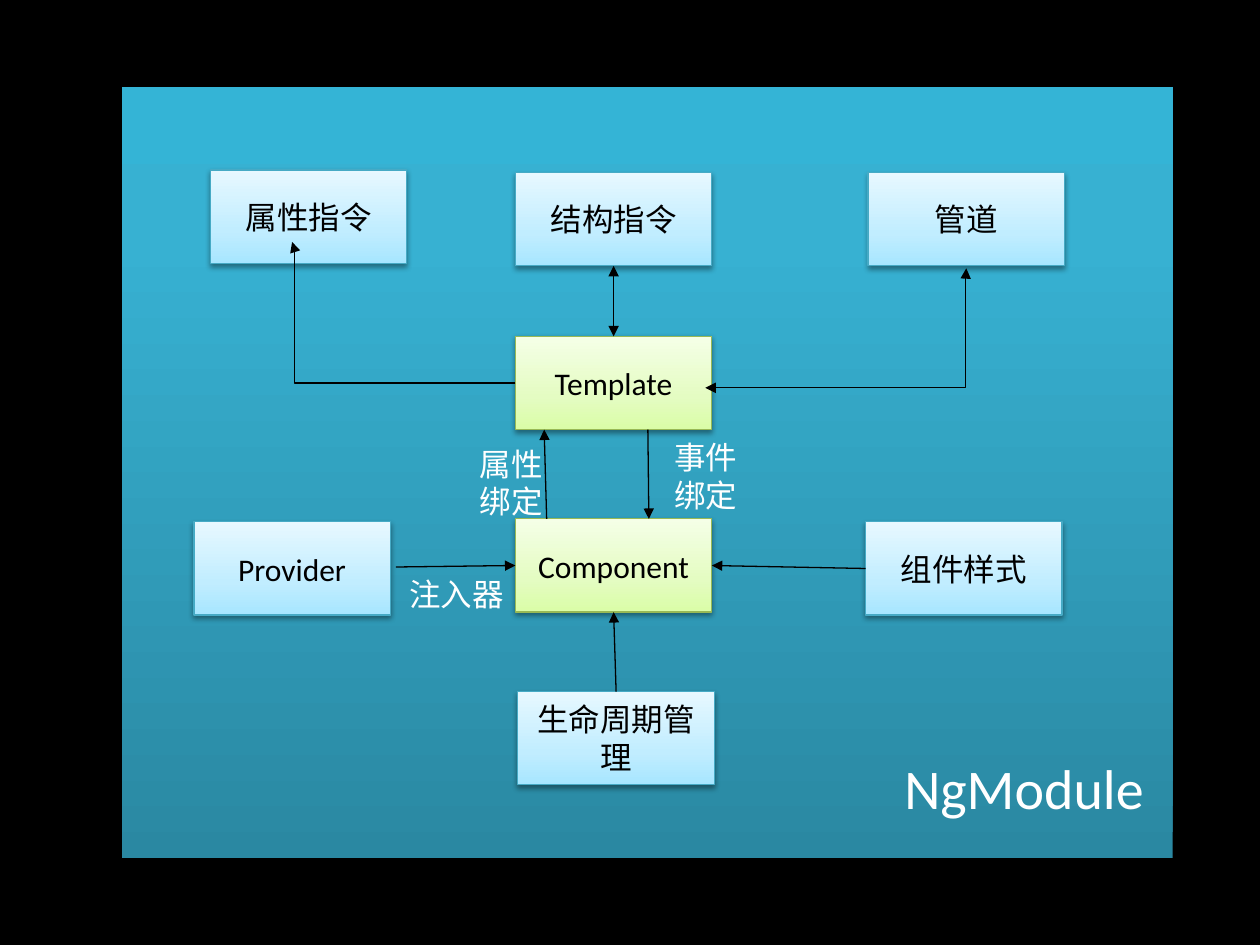
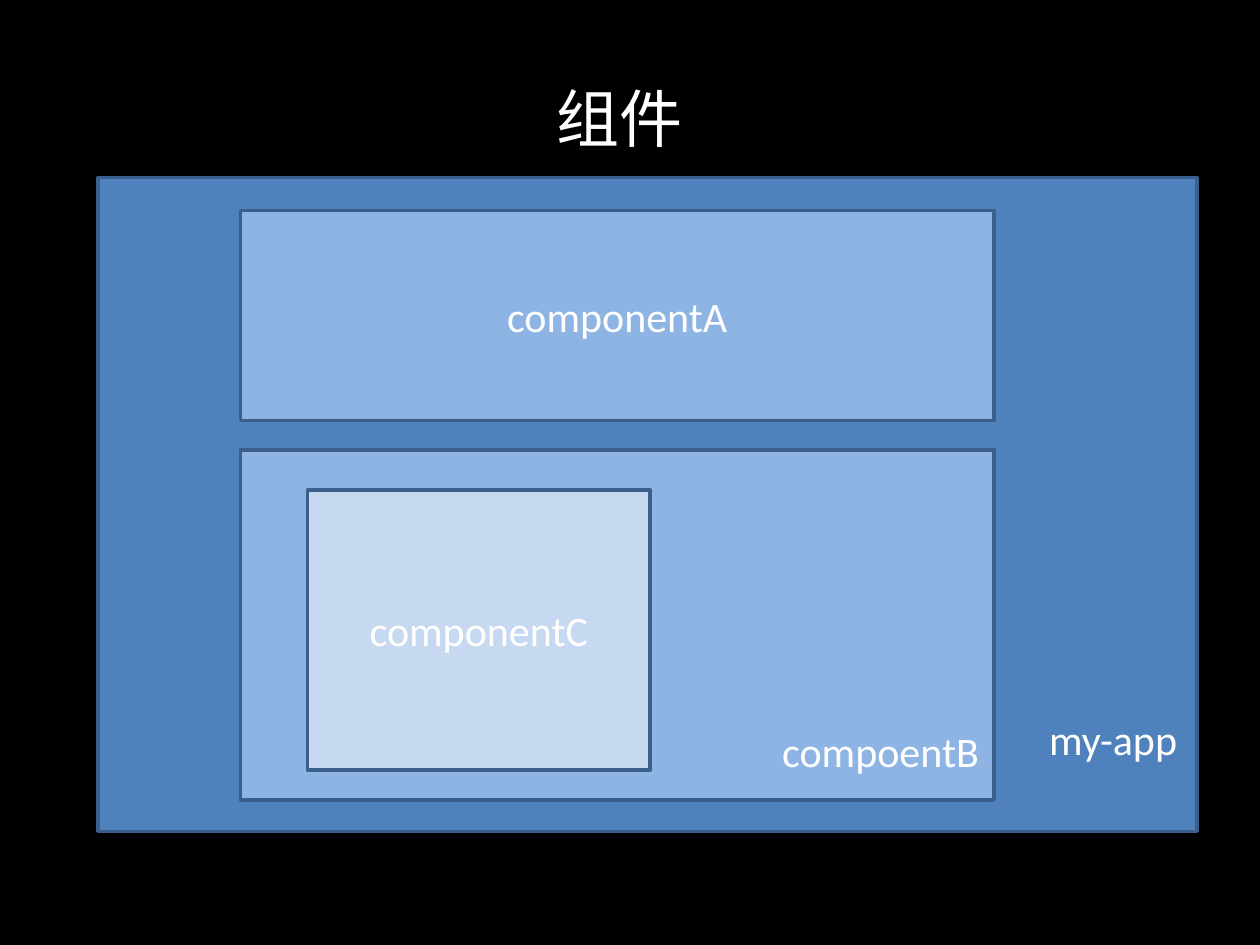
from lxml.etree import SubElement
from pptx import Presentation
from pptx.dml.color import RGBColor
from pptx.enum.shapes import MSO_CONNECTOR as LINK, MSO_SHAPE
from pptx.enum.text import MSO_ANCHOR as ANCHOR, PP_ALIGN as ALIGN
from pptx.oxml.ns import qn
from pptx.util import Cm, Pt

color = RGBColor.from_string
BLACK, WHITE = "000000", "FFFFFF"
LATIN, CJK = "Calibri", "Noto Sans CJK JP"

# Gradients run from bottom to top: (position in percent, colour)
TEAL = [(0, "2A88A2"), (80, "37B1D2"), (100, "34B4D6")]
BLUE = [(0, "A7E6FF"), (35, "C1EDFF"), (100, "E7F8FF")]
GREEN = [(0, "DAFDA7"), (35, "E4FCC2"), (100, "F5FFE7")]
BLUE_EDGE, GREEN_EDGE, NAVY_EDGE = "46AAC5", "98B955", "3A5F8C"


def write(shape, lines, size, ink=WHITE, align=ALIGN.LEFT, anchor=ANCHOR.TOP,
          wrap=True, font=LATIN):
    frame = shape.text_frame
    frame.word_wrap = wrap
    frame.vertical_anchor = anchor
    frame.text = lines
    for para in frame.paragraphs:
        para.alignment = align
        for span in para.runs:
            for name, value in {"size": Pt(size), "name": font}.items():
                setattr(span.font, name, value)
            span.font.color.rgb = color(ink)
            SubElement(span.font._element, qn("a:ea"), typeface=CJK)


def add_block(page, bounds, fill, edge=None, edge_width=0.75, shadow=None):
    """Add a rectangle; fill is a hex colour or a list of gradient stops."""
    block = page.shapes.add_shape(MSO_SHAPE.RECTANGLE, *map(Cm, bounds))
    properties = block._element.spPr
    if isinstance(fill, str):
        block.fill.solid()
        block.fill.fore_color.rgb = color(fill)
    else:
        block.fill.gradient()
        block.fill.gradient_angle = 90
        stops = properties.find(".//" + qn("a:gsLst"))
        for stop in list(stops):
            stops.remove(stop)
        for position, tone in fill:
            stop = SubElement(stops, qn("a:gs"), pos=str(position * 1000))
            SubElement(stop, qn("a:srgbClr"), val=tone)
    if edge:
        block.line.color.rgb = color(edge)
        block.line.width = Pt(edge_width)
    else:
        block.line.fill.background()
    block.shadow.inherit = False
    if shadow:
        distance, opacity = shadow
        outer = SubElement(properties.find(qn("a:effectLst")), qn("a:outerShdw"),
                           blurRad=str(Pt(3.1)), dist=str(Pt(distance)),
                           dir="5400000", rotWithShape="0")
        tone = SubElement(outer, qn("a:srgbClr"), val=BLACK)
        SubElement(tone, qn("a:alpha"), val=str(opacity * 1000))
    return block


deck = Presentation()
deck.slide_width, deck.slide_height = Cm(25.4), Cm(19.05)
pages = []
for number in range(2):
    page = deck.slides.add_slide(deck.slide_layouts[6])
    page.background.fill.solid()
    page.background.fill.fore_color.rgb = color(BLACK)
    pages.append(page)
module_page, nesting_page = pages

# Slide 1: the parts of an NgModule
add_block(module_page, (2.46, 1.75, 21.18, 15.54), TEAL, shadow=(1.8, 35))

BOX_SIZE = (3.96, 1.88)
boxes = {}
for label, left, top in [
    ("属性指令", 4.24, 3.43),
    ("结构指令", 10.39, 3.48),
    ("管道", 17.5, 3.48),
    ("Template", 10.39, 6.78),
    ("组件样式", 17.45, 10.52),
    ("Provider", 3.91, 10.52),
    ("Component", 10.39, 10.46),
    ("生命周期管理", 10.44, 13.94),
]:
    core = label in ("Template", "Component")
    box = add_block(module_page, (left, top, *BOX_SIZE), GREEN if core else BLUE,
                    GREEN_EDGE if core else BLUE_EDGE, shadow=(1.6, 38))
    write(box, label, 18, BLACK, ALIGN.CENTER, ANCHOR.MIDDLE)
    boxes[label] = box

# An end is either a point in cm or (box label, side)
TOP, LEFT, BOTTOM, RIGHT = range(4)
for start, end, bend, arrows in [
    ((11.02, 10.46), (10.97, 8.66), None, ["tail"]),
    ((13.06, 8.66), (13.08, 10.46), None, ["tail"]),
    ((7.98, 11.43), ("Component", LEFT), None, ["tail"]),
    (("组件样式", LEFT), ("Component", RIGHT), None, ["tail"]),
    (("生命周期管理", TOP), ("Component", BOTTOM), None, ["tail"]),
    (("结构指令", BOTTOM), ("Template", TOP), None, ["head", "tail"]),
    ((10.39, 7.72), (5.89, 4.88), 98900, ["tail"]),
    ((14.22, 7.82), (19.48, 5.41), 99800, ["head", "tail"]),
]:
    points = [(0, 0) if end_[0] in boxes else end_ for end_ in (start, end)]
    link = module_page.shapes.add_connector(
        LINK.ELBOW if bend else LINK.STRAIGHT, *map(Cm, points[0] + points[1]))
    for target, join in ((start, link.begin_connect), (end, link.end_connect)):
        if target[0] in boxes:
            join(boxes[target[0]], target[1])
    link.line.color.rgb = color(BLACK)
    link.line.width = Pt(0.75)
    properties = link._element.spPr
    for arrow in arrows:
        SubElement(link.line._get_or_add_ln(), qn(f"a:{arrow}End"), type="triangle")
    SubElement(properties, qn("a:effectLst"))
    if bend:
        guides = properties.find(qn("a:prstGeom")).get_or_add_avLst()
        SubElement(guides, qn("a:gd"), name="adj1", fmla=f"val {bend}")

# Slide 2: nested components
for bounds, fill, label in [
    ((1.98, 3.58, 22.15, 13.18), "4F81BD", None),
    ((4.85, 4.24, 15.19, 4.24), "8EB4E3", "componentA"),
    ((4.85, 9.07, 15.19, 7.06), "8EB4E3", None),
    ((6.2, 9.88, 6.91, 5.64), "C6D9F1", "componentC"),
]:
    block = add_block(nesting_page, bounds, fill, NAVY_EDGE, 2)
    if label:
        write(block, label, 24, WHITE, ALIGN.CENTER, ANCHOR.MIDDLE)

# Free-standing text on both slides
for page, bounds, text, size, style in [
    (module_page, (17.98, 15.06, 5.36, 1.63), "NgModule", 32, {}),
    (module_page, (9.42, 8.84, 1.8, 1.8), "属性\n绑定", 18, {"wrap": False}),
    (module_page, (13.34, 8.71, 1.8, 1.8), "事件\n绑定", 18, {"wrap": False}),
    (module_page, (8, 11.46, 2.44, 1.02), "注入器", 18, {"wrap": False}),
    (nesting_page, (2.41, 0, 20.14, 4.75), "组件", 36,
     {"align": ALIGN.CENTER, "anchor": ANCHOR.MIDDLE, "font": CJK}),
    (nesting_page, (20.9, 14.25, 3.12, 1.27), "my-app", 24, {"wrap": False}),
    (nesting_page, (15.52, 14.5, 4.52, 1.27), "compoentB", 24, {"wrap": False}),
]:
    write(page.shapes.add_textbox(*map(Cm, bounds)), text, size, **style)

deck.save("out.pptx")
